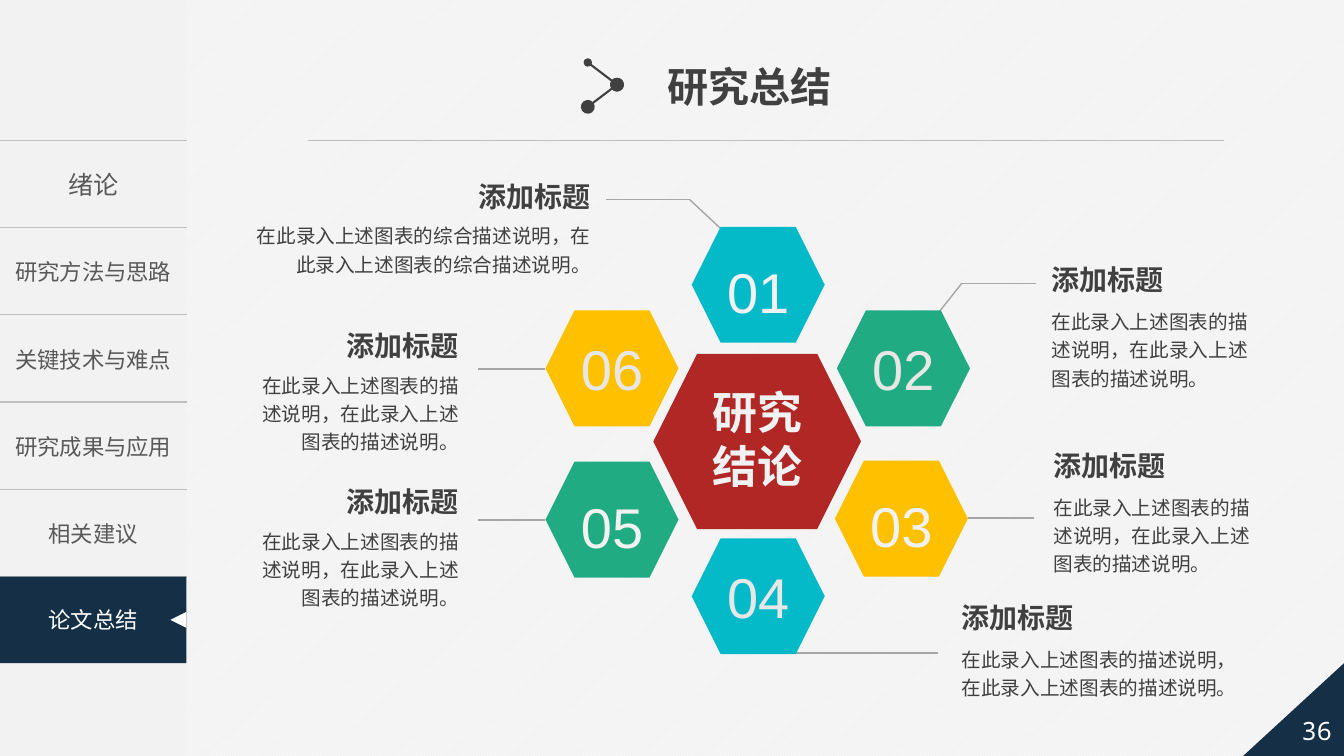
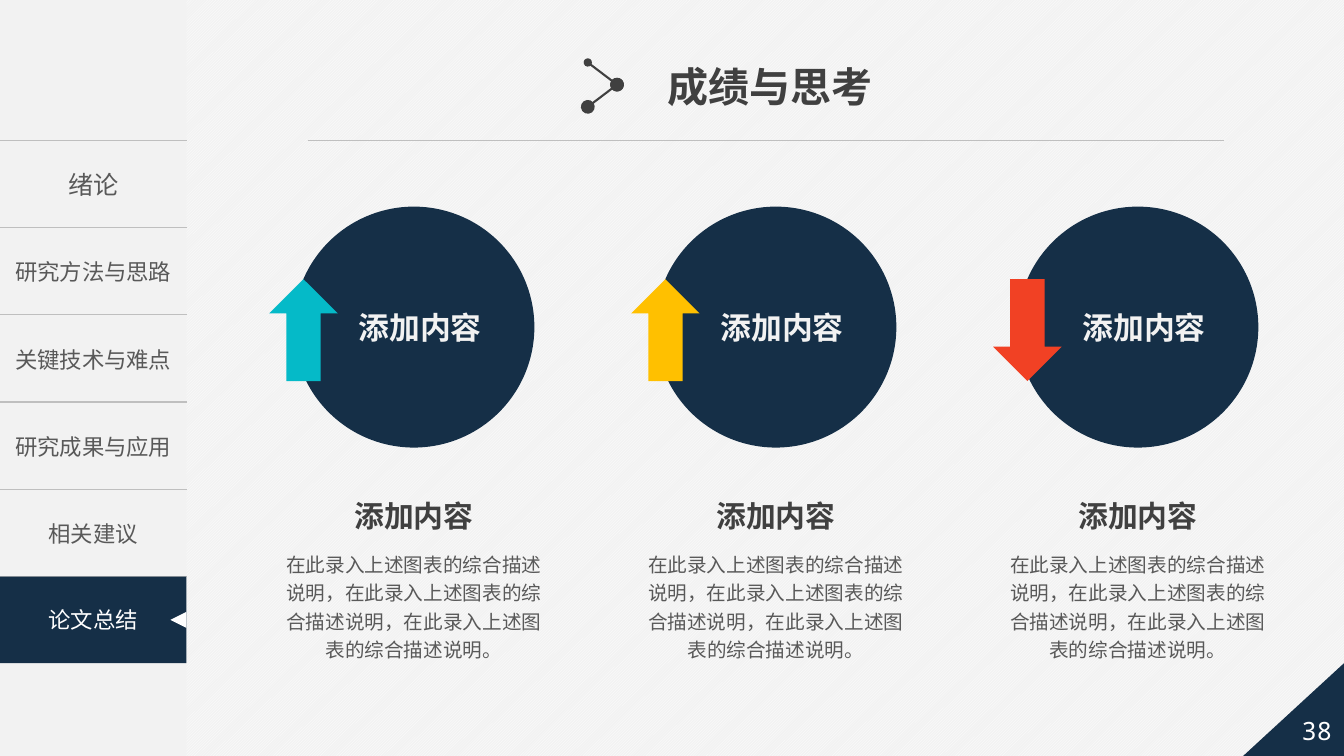
import lxml.etree
import pptx
import pptx.dml.color
import pptx.enum.dml
import pptx.enum.shapes
import pptx.enum.text
import pptx.oxml.ns
import pptx.util

Inches = pptx.util.Inches
Pt = pptx.util.Pt
SHAPE = pptx.enum.shapes.MSO_SHAPE
ALIGN = pptx.enum.text.PP_ALIGN
ANCHOR = pptx.enum.text.MSO_ANCHOR
qn = pptx.oxml.ns.qn

COLORS = {
    "paper": "F2F2F2", "white": "FFFFFF", "navy": "152F47", "rule": "BFBFBF",
    "leader": "A6A6A6", "dark": "404040", "gray": "595959", "pale": "E7E7E7",
    "teal": "05BAC8", "green": "21AB82", "yellow": "FFC000",
    "crimson": "B12725", "orange": "F14124",
}
SANS = "Noto Sans CJK SC"
SECTIONS = ["绪论", "研究方法与思路", "关键技术与难点", "研究成果与应用", "相关建议"]
CURRENT_SECTION = "论文总结"
SIDEBAR = 1.85
RULE_TOP = 1.39


def rgb(name):
    return pptx.dml.color.RGBColor.from_string(COLORS[name])


class Report:
    def __init__(self):
        self.deck = pptx.Presentation()
        self.deck.slide_width = Inches(13.33)
        self.deck.slide_height = Inches(7.5)
        fill = self.deck.slide_master.background.fill
        fill.patterned()
        fill.pattern = pptx.enum.dml.MSO_PATTERN.LIGHT_UPWARD_DIAGONAL
        fill.fore_color.rgb = rgb("white")
        fill.back_color.rgb = rgb("paper")
        self.page = None

    def fill_text(self, frame, text, size, color, bold=False, font=SANS,
                  align=ALIGN.LEFT, spacing=1.0):
        para = frame.paragraphs[0]
        for name, value in {"alignment": align, "line_spacing": spacing}.items():
            setattr(para, name, value)
        span = para.add_run()
        span.text = text
        for name, value in {"size": Pt(size), "bold": bold, "name": font}.items():
            setattr(span.font, name, value)
        span.font.color.rgb = rgb(color)
        properties = span._r.get_or_add_rPr()
        lxml.etree.SubElement(properties, qn("a:ea"), typeface=SANS)

    def text(self, left, top, width, height, text, size, color, wrap=True,
             anchor=ANCHOR.TOP, inset=(0.1, 0.05), **style):
        box = self.page.shapes.add_textbox(
            Inches(left), Inches(top), Inches(width), Inches(height))
        frame = box.text_frame
        side, end = (Inches(value) for value in inset)
        layout = {"word_wrap": wrap, "vertical_anchor": anchor,
                  "margin_left": side, "margin_right": side,
                  "margin_top": end, "margin_bottom": end}
        for name, value in layout.items():
            setattr(frame, name, value)
        self.fill_text(frame, text, size, color, **style)

    def shape(self, kind, left, top, width, height, color, rotation=0):
        shape = self.page.shapes.add_shape(
            kind, Inches(left), Inches(top), Inches(width), Inches(height))
        shape.shadow.inherit = False
        shape.fill.solid()
        shape.fill.fore_color.rgb = rgb(color)
        shape.line.fill.background()
        shape.rotation = rotation
        return shape

    def line(self, start, end, color="leader", weight=1, ovals=None):
        line = self.page.shapes.add_connector(
            pptx.enum.shapes.MSO_CONNECTOR.STRAIGHT,
            *(Inches(value) for value in (*start, *end)))
        line.line.color.rgb = rgb(color)
        line.line.width = Pt(weight)
        outline = line._element.spPr.find(qn("a:ln"))
        for tag, size in (ovals or {}).items():
            lxml.etree.SubElement(outline, qn(f"a:{tag}"), type="oval", w=size, len=size)
        lxml.etree.SubElement(line._element.spPr, qn("a:effectLst"))

    def path_line(self, *points):
        for start, end in zip(points, points[1:]):
            self.line(start, end)

    def border(self, cell):
        properties = cell._tc.get_or_add_tcPr()
        for index, side in enumerate("LRTB"):
            edge = lxml.etree.Element(qn(f"a:ln{side}"), w=str(Pt(1)))
            if side in "TB":
                paint = lxml.etree.SubElement(edge, qn("a:solidFill"))
                lxml.etree.SubElement(paint, qn("a:srgbClr"), val=COLORS["rule"])
            else:
                lxml.etree.SubElement(edge, qn("a:noFill"))
            properties.insert(index, edge)

    def sidebar(self):
        self.shape(SHAPE.RECTANGLE, 0, 0, SIDEBAR, 7.5, "paper")
        table = self.page.shapes.add_table(
            len(SECTIONS), 1, 0, Inches(RULE_TOP), Inches(SIDEBAR), Inches(4.33)).table
        table.first_row = False
        table.horz_banding = False
        for row, section in enumerate(SECTIONS):
            cell = table.cell(row, 0)
            cell.fill.background()
            cell.vertical_anchor = ANCHOR.MIDDLE
            self.border(cell)
            self.fill_text(cell.text_frame, section, 16 if row else 18, "gray",
                           align=ALIGN.CENTER)
        current = self.shape(SHAPE.RECTANGLE, 0, 5.72, SIDEBAR, 0.86, "navy")
        current.text_frame.vertical_anchor = ANCHOR.MIDDLE
        self.fill_text(current.text_frame, CURRENT_SECTION, 16, "white",
                       align=ALIGN.CENTER)
        self.shape(SHAPE.ISOSCELES_TRIANGLE, 1.69, 6.07, 0.16, 0.16, "white", 270)

    def title(self, text, width):
        title = self.page.shapes.title
        place = {"left": 6.52, "top": 0.56, "width": width, "height": 0.59}
        for name, value in place.items():
            setattr(title, name, Inches(value))
        layout = {"word_wrap": False, "vertical_anchor": ANCHOR.TOP,
                  "auto_size": pptx.enum.text.MSO_AUTO_SIZE.NONE}
        for name, value in layout.items():
            setattr(title.text_frame, name, value)
        self.fill_text(title.text_frame, text, 29.3, "dark", bold=True, font="Arial")
        tip = (6.12, 0.84)
        self.line((5.83, 0.62), tip, "dark", 1.5, {"headEnd": "med", "tailEnd": "lg"})
        self.line(tip, (5.83, 1.06), "dark", 1.5, {"headEnd": "lg", "tailEnd": "lg"})
        self.line((3.05, RULE_TOP), (12.14, RULE_TOP), "rule", 0.5)

    def start(self, title, title_width, number):
        self.page = self.deck.slides.add_slide(self.deck.slide_layouts[5])
        self.sidebar()
        self.title(title, title_width)
        corner = self.shape(SHAPE.RIGHT_TRIANGLE, 12.33, 6.58, 1, 0.92, "navy")
        corner._element.spPr.find(qn("a:xfrm")).set("flipH", "1")
        self.text(12.79, 6.97, 0.54, 0.55, number, 18, "white", wrap=False,
                  anchor=ANCHOR.MIDDLE, font="Noto Sans Mono", align=ALIGN.CENTER)

    def hexagon(self, number, left, top, color, spacing):
        self.shape(SHAPE.HEXAGON, left, top, 1.32, 1.15, color)
        low = spacing > 1
        self.text(left + 0.21, top + (0.12 if low else 0.19), 0.9,
                  0.83 if low else 0.77, number, 40, "paper" if low else "pale",
                  font="Arial", align=ALIGN.CENTER, spacing=spacing)

    def callout(self, edge, top, width, height, body, align):
        right = align == ALIGN.RIGHT
        heading_left, body_left = (
            (edge - 1.32, edge - width) if right else (edge, edge))
        self.text(heading_left, top, 1.32, 0.44, "添加标题", 20, "dark", wrap=False,
                  bold=True, align=align)
        self.text(body_left, top + (0.4 if right else 0.42), width, height, body,
                  14, "dark", align=align, spacing=1.2)

    def achievement(self, left, arrow, color):
        self.shape(SHAPE.OVAL, left, 2.05, 2.39, 2.39, "navy")
        self.shape(arrow, left - 0.24, 2.77, 0.68, 1.01, color)
        self.text(left + 0.55, 3.01, 1.5, 0.47, "添加内容", 22, "paper", bold=True)
        self.text(left + 0.5, 4.89, 1.39, 0.63, "添加内容", 21.3, "dark", wrap=False,
                  bold=True, align=ALIGN.CENTER)
        clause = "在此录入上述图表的综合描述说明"
        self.text(left - 0.26, 5.37, 2.91, 1.2, "，".join([clause] * 3) + "。", 14,
                  "gray", inset=(0.13, 0.07), align=ALIGN.CENTER, spacing=1.2)


def summary(report):
    report.start("研究总结", 1.85, "36")
    report.path_line((7.15, 2.27), (6.84, 1.98), (6.01, 1.98))
    report.path_line((9.31, 3.1), (9.54, 2.81), (10.28, 2.81))
    report.path_line((10.26, 5.14), (9.6, 5.14))
    report.path_line((7.89, 6.48), (9.3, 6.48))
    for middle in (3.66, 5.16):
        report.path_line((5.41, middle), (4.74, middle))

    for hexagon in [
        ("01", 6.86, 2.25, "teal", 1.2),
        ("02", 8.3, 3.08, "green", 1.0),
        ("03", 8.28, 4.57, "yellow", 1.2),
        ("04", 6.86, 5.34, "teal", 1.0),
        ("05", 5.41, 4.58, "green", 1.2),
        ("06", 5.41, 3.08, "yellow", 1.0),
    ]:
        report.hexagon(*hexagon)
    report.shape(SHAPE.HEXAGON, 6.48, 3.51, 2.06, 1.74, "crimson")
    report.text(6.88, 3.77, 1.27, 1.21, "研究结论", 32, "paper", bold=True,
                align=ALIGN.CENTER)

    long_body = "在此录入上述图表的综合描述说明，在此录入上述图表的综合描述说明。"
    body = "在此录入上述图表的描述说明，在此录入上述图表的描述说明。"
    for callout in [
        (5.96, 1.73, 3.6, 0.67, long_body, ALIGN.RIGHT),
        (4.65, 3.21, 2.18, 0.95, body, ALIGN.RIGHT),
        (4.65, 4.76, 2.18, 0.95, body, ALIGN.RIGHT),
        (10.33, 2.56, 2.3, 0.95, body, ALIGN.LEFT),
        (10.35, 4.4, 2.3, 0.95, body, ALIGN.LEFT),
        (9.44, 5.91, 3.1, 0.67, body, ALIGN.LEFT),
    ]:
        report.callout(*callout)


def achievements(report):
    report.start("成绩与思考", 2.26, "38")
    arrows = [(SHAPE.UP_ARROW, "teal"), (SHAPE.UP_ARROW, "yellow"),
              (SHAPE.DOWN_ARROW, "orange")]
    for column, (arrow, color) in enumerate(arrows):
        report.achievement(2.91 + 3.59 * column, arrow, color)


def main():
    report = Report()
    summary(report)
    achievements(report)
    report.deck.save("out.pptx")


if __name__ == "__main__":
    main()
